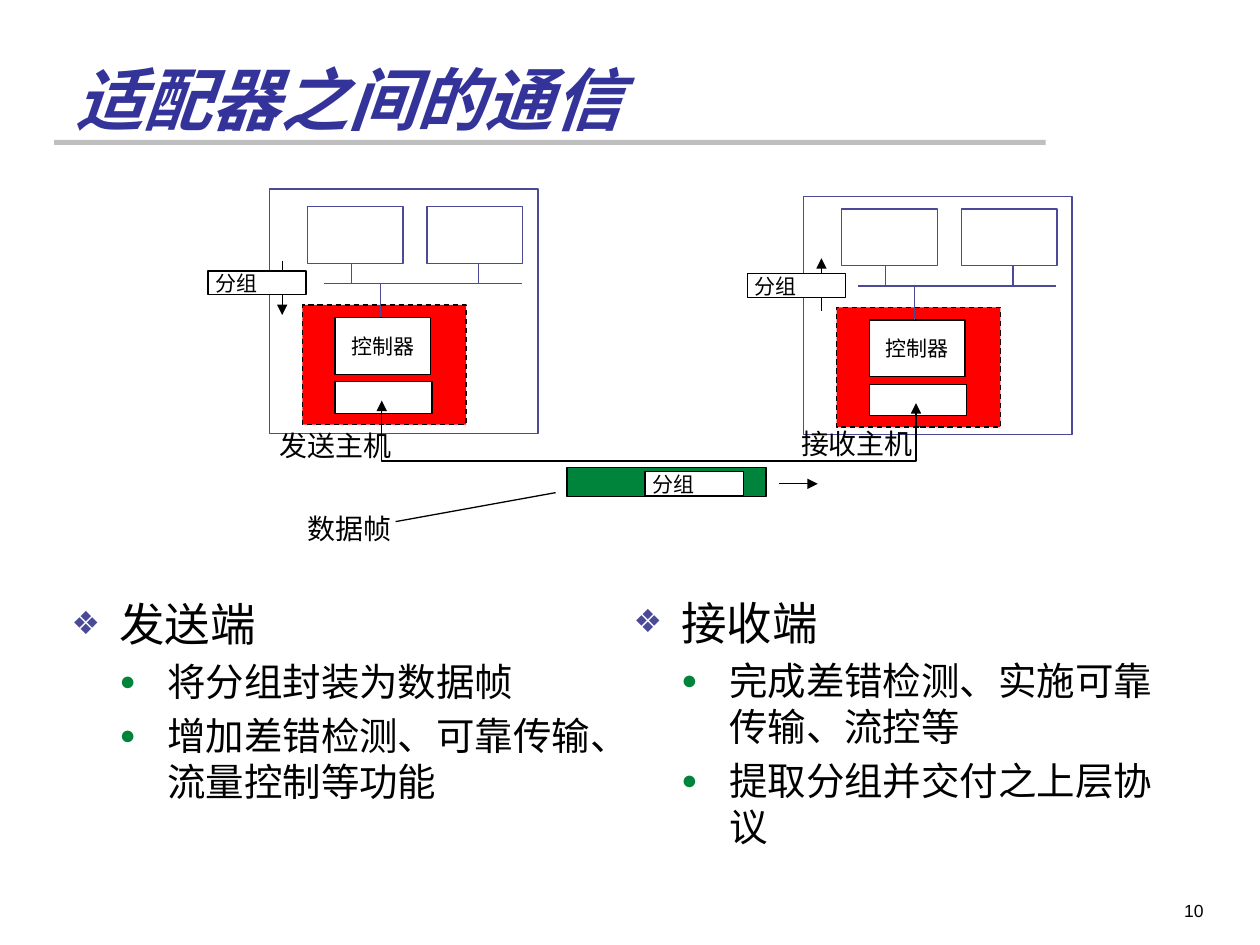
from lxml import etree
from pptx import Presentation
from pptx.dml.color import RGBColor
from pptx.enum.dml import MSO_LINE_DASH_STYLE as Dash
from pptx.enum.shapes import MSO_CONNECTOR as Connector, MSO_SHAPE as Shape
from pptx.enum.text import MSO_ANCHOR as Anchor, PP_ALIGN as Align
from pptx.oxml.ns import qn
from pptx.util import Inches, Pt

COLORS = {
    "black": "000000", "white": "FFFFFF", "gray": "BFBFBF", "red": "FF0000",
    "green": "00843C", "outline": "4A4A97", "title": "333399",
}
LEVELS = [
    {"size": 26, "char": "❖", "color": "outline"},
    {"size": 22, "char": "●", "color": "green"},
]
INDENT = 0.38
ADAPTER_SIZE = (0.76, 0.45)
SEND = ["发送端", "将分组封装为数据帧", "增加差错检测、可靠传输、流量控制等功能"]
RECEIVE = ["接收端", "完成差错检测、实施可靠传输、流控等", "提取分组并交付之上层协议"]


def rgb(name):
    return RGBColor.from_string(COLORS[name])


def style_text(paragraph, text, size, font="Arial", color="black", **extra):
    span = paragraph.add_run()
    span.text = text
    for name, value in {"size": Pt(size), "name": font, **extra}.items():
        setattr(span.font, name, value)
    span.font.color.rgb = rgb(color)


def style_line(shape, color, head=False, tail=False):
    shape.line.color.rgb = rgb(color)
    shape.line.width = Pt(0.75)
    outline = shape._element.spPr.find(qn("a:ln"))
    for tag, wanted in (("a:headEnd", head), ("a:tailEnd", tail)):
        if wanted:
            etree.SubElement(outline, qn(tag), type="triangle")


def add_box(page, left, top, width, height, fill="white", line="black"):
    box = page.shapes.add_shape(Shape.RECTANGLE, *map(Inches, (left, top, width, height)))
    box.shadow.inherit = False
    box.fill.solid()
    box.fill.fore_color.rgb = rgb(fill)
    if line:
        style_line(box, line)
    else:
        box.line.fill.background()
    return box


def add_text(page, left, top, width, height, text, size, wrap=False,
             anchor=Anchor.TOP, align=Align.LEFT, **font):
    box = page.shapes.add_textbox(*map(Inches, (left, top, width, height)))
    box.text_frame.word_wrap = wrap
    box.text_frame.vertical_anchor = anchor
    para = box.text_frame.paragraphs[0]
    para.alignment = align
    style_text(para, text, size, **font)


def add_line(page, start, end, color="black", head=False, tail=False):
    line = page.shapes.add_connector(Connector.STRAIGHT, *map(Inches, start + end))
    style_line(line, color, head, tail)
    etree.SubElement(line._element.spPr, qn("a:effectLst"))


def add_packet(page, left, top):
    add_box(page, left, top, 0.78, 0.19)
    add_text(page, left - 0.04, top - 0.05, 0.54, 0.3, "分组", 12)


def add_host(page, left, top):
    """Draw bus, memory, CPU and network adapter; left and top place the first unit."""
    adapter = add_box(page, left - 0.04, top + 0.78, 1.3, 0.95, "red")
    adapter.line.dash_style = Dash.DASH
    add_box(page, left + 0.22, top + 1.39, 0.77, 0.25)
    controller = add_box(page, left + 0.22, top + 0.88, *ADAPTER_SIZE)
    frame = controller.text_frame
    frame.word_wrap = False
    frame.vertical_anchor = Anchor.MIDDLE
    frame.paragraphs[0].alignment = Align.CENTER
    style_text(frame.paragraphs[0], "控制器", 12)

    bus = top + 0.61
    add_line(page, (left + 0.13, bus), (left + 1.7, bus), "outline")
    add_line(page, (left + 0.58, top + 0.88), (left + 0.58, bus), "outline")
    for unit, stem in ((0, 0.35), (0.95, 1.36)):
        add_box(page, left + unit, top, *ADAPTER_SIZE, line="outline")
        add_line(page, (left + stem, bus), (left + stem, top + 0.45), "outline")


def add_link(page, points):
    """Draw the two-headed cable between the adapters."""
    corners = [tuple(map(Inches, point)) for point in points]
    builder = page.shapes.build_freeform(*corners[0])
    builder.add_line_segments(corners[1:], close=False)
    link = builder.convert_to_shape()
    link.shadow.inherit = False
    link.fill.background()
    style_line(link, "black", head=True, tail=True)


def add_bullet(para, char, color):
    props = para._p.get_or_add_pPr()
    tint = etree.SubElement(props, qn("a:buClr"))
    etree.SubElement(tint, qn("a:srgbClr"), val=COLORS[color])
    etree.SubElement(props, qn("a:buSzPct"), val="70000")
    etree.SubElement(props, qn("a:buFont"), typeface="Arial")
    etree.SubElement(props, qn("a:buChar"), char=char)


def add_list(page, left, top, width, height, items):
    """Write a heading followed by second-level bullets."""
    box = page.shapes.add_textbox(*map(Inches, (left, top, width, height)))
    frame = box.text_frame
    frame.word_wrap = True
    for index, item in enumerate(items):
        depth = min(index, 1)
        level = LEVELS[depth]
        para = frame.add_paragraph() if index else frame.paragraphs[0]
        props = para._p.get_or_add_pPr()
        props.set("marL", str(Inches(INDENT * (depth + 1))))
        props.set("indent", str(Inches(-INDENT)))
        add_bullet(para, level["char"], level["color"])
        para.level = depth
        if index:
            para.space_before = Pt(level["size"] * 0.2)
        style_text(para, item, level["size"], "Calibri")


def add_diagram(page):
    add_box(page, 4.5, 3.71, 1.58, 0.23, "green")
    add_box(page, 2.14, 1.5, 2.13, 1.94, line="outline")
    add_line(page, (2.24, 2.07), (2.24, 2.5), tail=True)
    add_host(page, 2.44, 1.64)
    add_box(page, 6.38, 1.56, 2.13, 1.89, line="outline")
    add_host(page, 6.68, 1.66)
    add_text(page, 2.12, 3.35, 1.1, 0.37, "发送主机", 16)
    add_text(page, 6.26, 3.34, 1.1, 0.37, "接收主机", 16)
    add_line(page, (6.52, 2.05), (6.52, 2.47), head=True)
    add_link(page, [(3.03, 3.18), (3.03, 3.66), (7.27, 3.66), (7.27, 3.2)])
    for left, top in ((1.65, 2.15), (5.93, 2.17), (5.12, 3.74)):
        add_packet(page, left, top)
    add_line(page, (6.18, 3.84), (6.49, 3.84), tail=True)
    add_text(page, 2.34, 4.01, 0.88, 0.37, "数据帧", 16)
    add_line(page, (3.14, 4.14), (4.41, 3.91))


def main():
    deck = Presentation()
    deck.slide_width, deck.slide_height = Inches(10), Inches(7.5)
    page = deck.slides.add_slide(deck.slide_layouts[6])
    add_box(page, 0.43, 1.11, 7.87, 0.04, "gray", line=None)
    add_text(page, 8.91, 7.09, 0.74, 0.5, "10", 10, wrap=True, align=Align.RIGHT)
    add_text(page, 0.5, 0.1, 8.5, 1.05, "适配器之间的通信", 39, wrap=True,
             anchor=Anchor.BOTTOM, font="Calibri", color="title", bold=True, italic=True)
    add_list(page, 0.47, 4.68, 4.45, 2.12, SEND)
    add_list(page, 4.93, 4.67, 4.47, 2.02, RECEIVE)
    add_diagram(page)
    deck.save("out.pptx")


if __name__ == "__main__":
    main()
